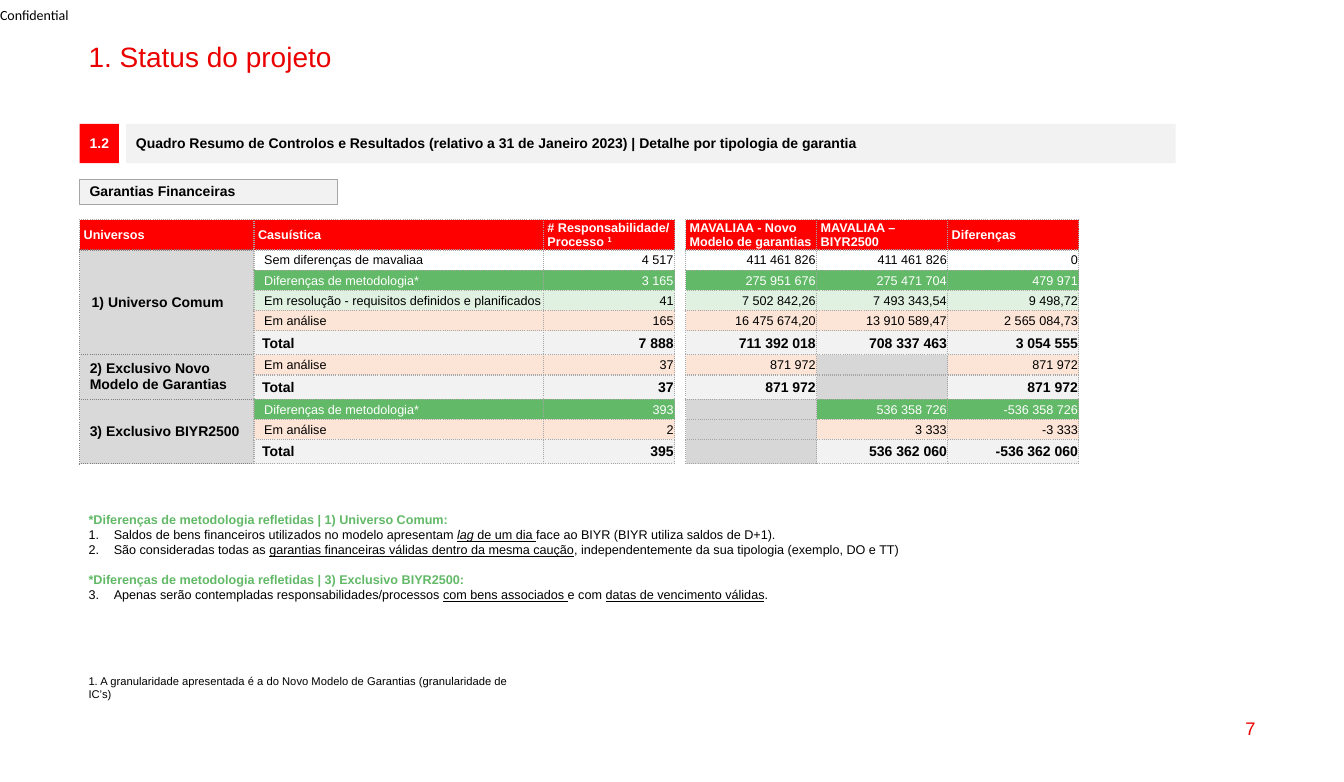
"""Builds the project status slide with the guarantees summary table."""
from lxml import etree
from pptx import Presentation
from pptx import util as u
from pptx.dml.color import RGBColor
from pptx.enum import shapes, text
from pptx.oxml.ns import qn

RED, BRIGHT_RED, GREEN = "EB0000", "FF0000", "62B967"
WHITE, BLACK, PALE, GREY, BLANK = "FFFFFF", "000000", "F2F2F2", "D9D9D9", "D7D7D7"
EDGE, DARK_EDGE = "A6A6A6", "808080"
LEFT, MIDDLE = text.PP_ALIGN.LEFT, text.MSO_ANCHOR.MIDDLE
RIGHT, CENTER = text.PP_ALIGN.RIGHT, text.PP_ALIGN.CENTER

HEADERS = [
    "Universos", "Casuística",
    ["# Responsabilidade/", [("Processo ", "b"), ("1", "b^")]], None,
    "MAVALIAA - Novo Modelo de garantias", "MAVALIAA – BIYR2500", "Diferenças",
]
METHOD = "Diferenças de metodologia*"
RESOLVING = "Em resolução - requisitos definidos e planificados"
CASE_FILLS = {METHOD: GREEN, RESOLVING: "E0F1E1", "Em análise": "FCE4D6", "Total": PALE}
UNIVERSES = [
    ("1) Universo Comum", 0.12, [
        ("Sem diferenças de mavaliaa", "4 517", "411 461 826", "411 461 826", "0"),
        (METHOD, "3 165", "275 951 676", "275 471 704", "479 971"),
        (RESOLVING, "41", "7 502 842,26", "7 493 343,54", "9 498,72"),
        ("Em análise", "165", "16 475 674,20", "13 910 589,47", "2 565 084,73"),
        ("Total", "7 888", "711 392 018", "708 337 463", "3 054 555"),
    ]),
    ("2) Exclusivo Novo Modelo de Garantias", 0.1, [
        ("Em análise", "37", "871 972", "", "871 972"),
        ("Total", "37", "871 972", "", "871 972"),
    ]),
    ("3) Exclusivo BIYR2500", 0.1, [
        (METHOD, "393", "", "536 358 726", "-536 358 726"),
        ("Em análise", "2", "", "3 333", "-3 333"),
        ("Total", "395", "", "536 362 060", "-536 362 060"),
    ]),
]
COLUMNS = [1.73, 2.87, 1.3, 0.11, 1.3, 1.3, 1.3]
HEADER_HEIGHT, CASE_HEIGHT, TOTAL_HEIGHT = 0.28, 0.2, 0.24

NOTES = [
    ("*Diferenças de metodologia refletidas | 1) Universo Comum:", [
        [("Saldos de bens financeiros utilizados no modelo apresentam ", ""), ("lag", "iu"),
         (" de um dia ", "u"), ("face ao BIYR (BIYR utiliza saldos de D+1).", "")],
        [("São consideradas todas as ", ""),
         ("garantias financeiras válidas dentro da mesma caução", "u"),
         (", independentemente da sua tipologia (exemplo, DO e TT)", "")],
    ]),
    ("*Diferenças de metodologia refletidas | 3) Exclusivo BIYR2500:", [
        [("Apenas serão contempladas responsabilidades/processos ", ""),
         ("com bens associados ", "u"), ("e com ", ""),
         ("datas de vencimento válidas", "u"), (".", "")],
    ]),
]
FOOTNOTE = "1. A granularidade apresentada é a do Novo Modelo de Garantias (granularidade de IC’s)"


def rgb(code):
    return RGBColor.from_string(code)


def write(paragraph, content, size=9, color=BLACK, bold=False, align=LEFT,
          font="Arial", spacing=None, before=None, number=None):
    if number:
        props = paragraph._p.get_or_add_pPr()
        props.set("marL", str(u.Inches(0.25)))
        props.set("indent", str(u.Inches(-0.25)))
        etree.SubElement(props, qn("a:buFont"), typeface="+mj-lt")
        etree.SubElement(props, qn("a:buAutoNum"), type="arabicPeriod", startAt=str(number))
    paragraph.alignment = align
    if spacing:
        paragraph.line_spacing = spacing
    if before:
        paragraph.space_before = u.Pt(before)
    pieces = [(content, "b" if bold else "")] if isinstance(content, str) else content
    for words, marks in pieces:
        run = paragraph.add_run()
        run.text = words
        run.font.name, run.font.size = font, u.Pt(size)
        run.font.color.rgb = rgb(color)
        run.font.bold, run.font.italic = "b" in marks, "i" in marks
        run.font.underline = "u" in marks
        if "^" in marks:
            run.font._element.set("baseline", "30000")


def box(slide, place, inset=True, anchor=text.MSO_ANCHOR.TOP):
    frame = slide.shapes.add_textbox(*map(u.Inches, place)).text_frame
    frame.word_wrap = True
    frame.vertical_anchor = anchor
    if not inset:
        frame.margin_left = frame.margin_right = frame.margin_top = frame.margin_bottom = 0
    return frame


def bar(slide, place, label, fill, color=BLACK, align=LEFT, line=None):
    block = slide.shapes.add_shape(shapes.MSO_SHAPE.RECTANGLE, *map(u.Inches, place))
    block.shadow.inherit = False
    block.fill.solid()
    block.fill.fore_color.rgb = rgb(fill)
    if line:
        block.line.color.rgb = rgb(line)
        block.line.width = u.Pt(0.75)
    else:
        block.line.fill.background()
    block.text_frame.word_wrap = True
    block.text_frame.vertical_anchor = MIDDLE
    write(block.text_frame.paragraphs[0], label, size=10, color=color, bold=True,
          align=align, spacing=0.9)


def dress(cell, fill=None, edges="LRTB", edge=EDGE, left=0.01, right=0.01, top=0):
    cell.vertical_anchor = MIDDLE
    cell.margin_left, cell.margin_right = u.Inches(left), u.Inches(right)
    cell.margin_top, cell.margin_bottom = u.Inches(top), 0
    props = cell._tc.get_or_add_tcPr()
    for side in "LRTB":
        rule = etree.SubElement(props, qn("a:ln" + side), w=str(u.Pt(1)))
        if side in edges:
            paint = etree.SubElement(rule, qn("a:solidFill"))
            etree.SubElement(paint, qn("a:srgbClr"), val=edge)
            etree.SubElement(rule, qn("a:prstDash"), val="sysDot")
        else:
            etree.SubElement(rule, qn("a:noFill"))
    if fill:
        cell.fill.solid()
        cell.fill.fore_color.rgb = rgb(fill)
    else:
        cell.fill.background()
    cell.text_frame.paragraphs[0]._p.get_or_add_endParaRPr().set("sz", "800")


def add_summary(slide):
    cases = [case for _, _, group in UNIVERSES for case in group]
    heights = [HEADER_HEIGHT] + [TOTAL_HEIGHT if case[0] == "Total" else CASE_HEIGHT
                                 for case in cases]
    summary = slide.shapes.add_table(
        len(heights), len(COLUMNS), u.Inches(0.79), u.Inches(2.18),
        u.Inches(sum(COLUMNS)), u.Inches(sum(heights))).table
    summary.first_row = summary.horz_banding = False
    for column, width in zip(summary.columns, COLUMNS):
        column.width = u.Inches(width)
    for row, height in zip(summary.rows, heights):
        row.height = u.Inches(height)

    for cell, header in zip(summary.rows[0].cells, HEADERS):
        if header is None:
            dress(cell, edges="LR")
            continue
        dress(cell, BRIGHT_RED, left=0.04, right=0.04)
        for index, line in enumerate(header if isinstance(header, list) else [header]):
            paragraph = cell.text_frame.add_paragraph() if index else cell.text_frame.paragraphs[0]
            write(paragraph, line, color=WHITE, bold=True)

    for row, (label, *values) in enumerate(cases, 1):
        total = label == "Total"
        fill = CASE_FILLS.get(label)
        look = dict(size=10 if total else 9, bold=total, color=WHITE if fill == GREEN else BLACK)
        for col, value in enumerate([label, values[0], None, *values[1:]], 1):
            cell = summary.cell(row, col)
            if value is None:
                dress(cell, edges="LR")
            elif not value:
                dress(cell, BLANK)
            else:
                indent = (0.08 if total else 0.1) if col == 1 else 0.01
                dress(cell, fill, left=indent, top=0.01)
                write(cell.text_frame.paragraphs[0], value,
                      align=LEFT if col == 1 else RIGHT, **look)

    first = 1
    for universe, indent, group in UNIVERSES:
        last = first + len(group) - 1
        for row in range(first, last + 1):
            dress(summary.cell(row, 0), GREY, edge=DARK_EDGE, left=indent, right=0.04)
        summary.cell(first, 0).merge(summary.cell(last, 0))
        write(summary.cell(first, 0).text_frame.paragraphs[0], universe, size=10, bold=True)
        first = last + 1


def add_notes(slide):
    frame = box(slide, (0.78, 5.03, 10.55, 1.5))
    number = 0
    for heading, points in NOTES:
        paragraph = frame.add_paragraph() if number else frame.paragraphs[0]
        write(paragraph, heading, color=GREEN, bold=True, before=10.4 if number else None)
        for point in points:
            number += 1
            write(frame.add_paragraph(), point, number=number)


def main():
    deck = Presentation()
    deck.slide_width, deck.slide_height = u.Inches(13.33), u.Inches(7.76)
    slide = deck.slides.add_slide(deck.slide_layouts[6])
    write(box(slide, (0, 0, 0.99, 0.29), inset=False, anchor=MIDDLE).paragraphs[0],
          "Confidential", size=10, font="Calibri")
    write(box(slide, (0.78, 0.38, 11.77, 0.34)).paragraphs[0],
          "1. Status do projeto", size=20, color=RED, spacing=0.9)
    write(box(slide, (9.55, 7.02, 3, 0.41), anchor=MIDDLE).paragraphs[0],
          "7", size=13, color=RED, align=RIGHT)
    bar(slide, (0.79, 1.23, 0.39, 0.39), "1.2", BRIGHT_RED, color=WHITE, align=CENTER)
    bar(slide, (1.25, 1.23, 10.41, 0.39), "Quadro Resumo de Controlos e Resultados "
        "(relativo a 31 de Janeiro 2023) | Detalhe por tipologia de garantia", PALE)
    bar(slide, (0.79, 1.78, 2.56, 0.25), "Garantias Financeiras", PALE, line=EDGE)
    add_summary(slide)
    add_notes(slide)
    write(box(slide, (0.78, 6.64, 4.37, 0.24)).paragraphs[0], FOOTNOTE, size=8)
    deck.save("out.pptx")


if __name__ == "__main__":
    main()
